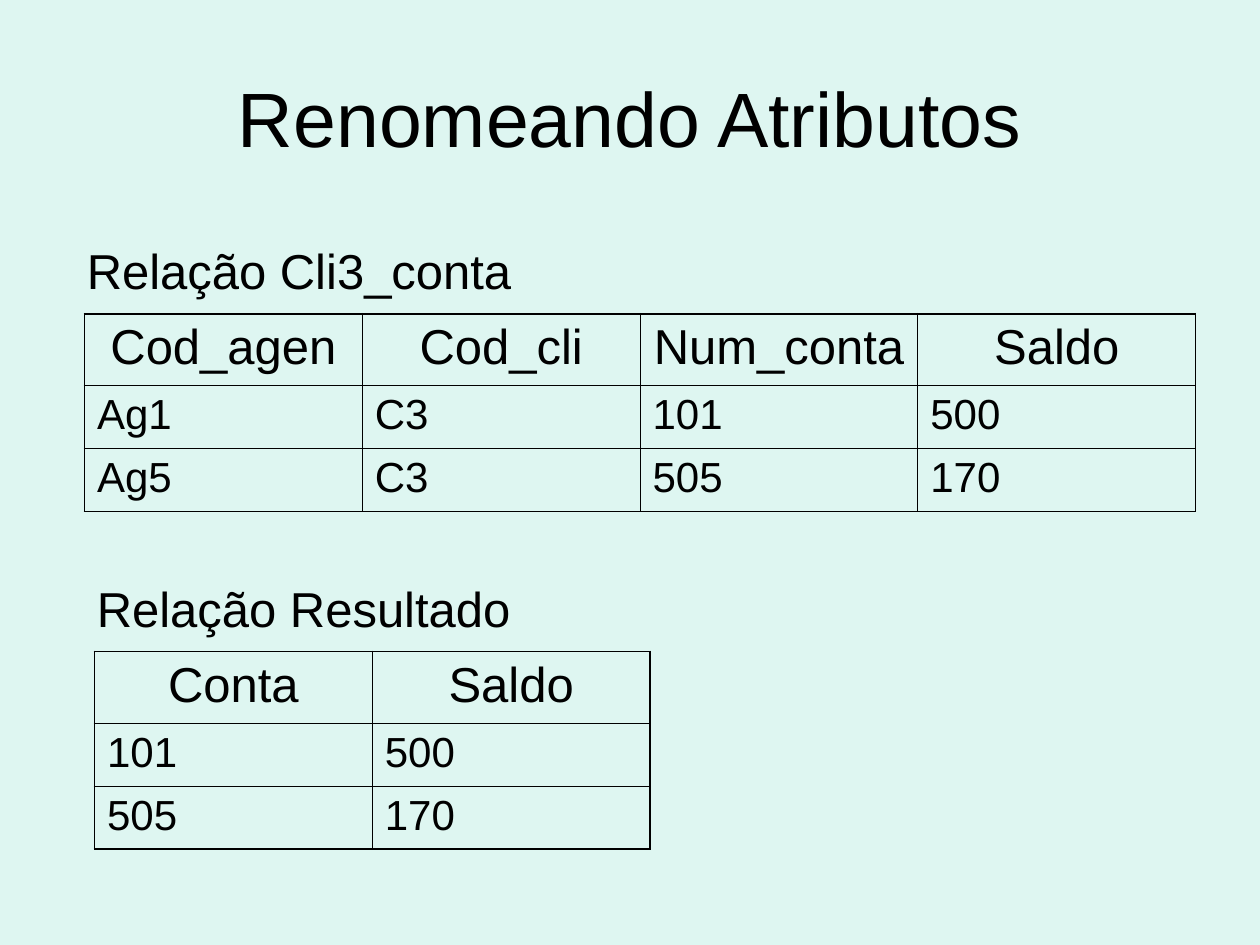
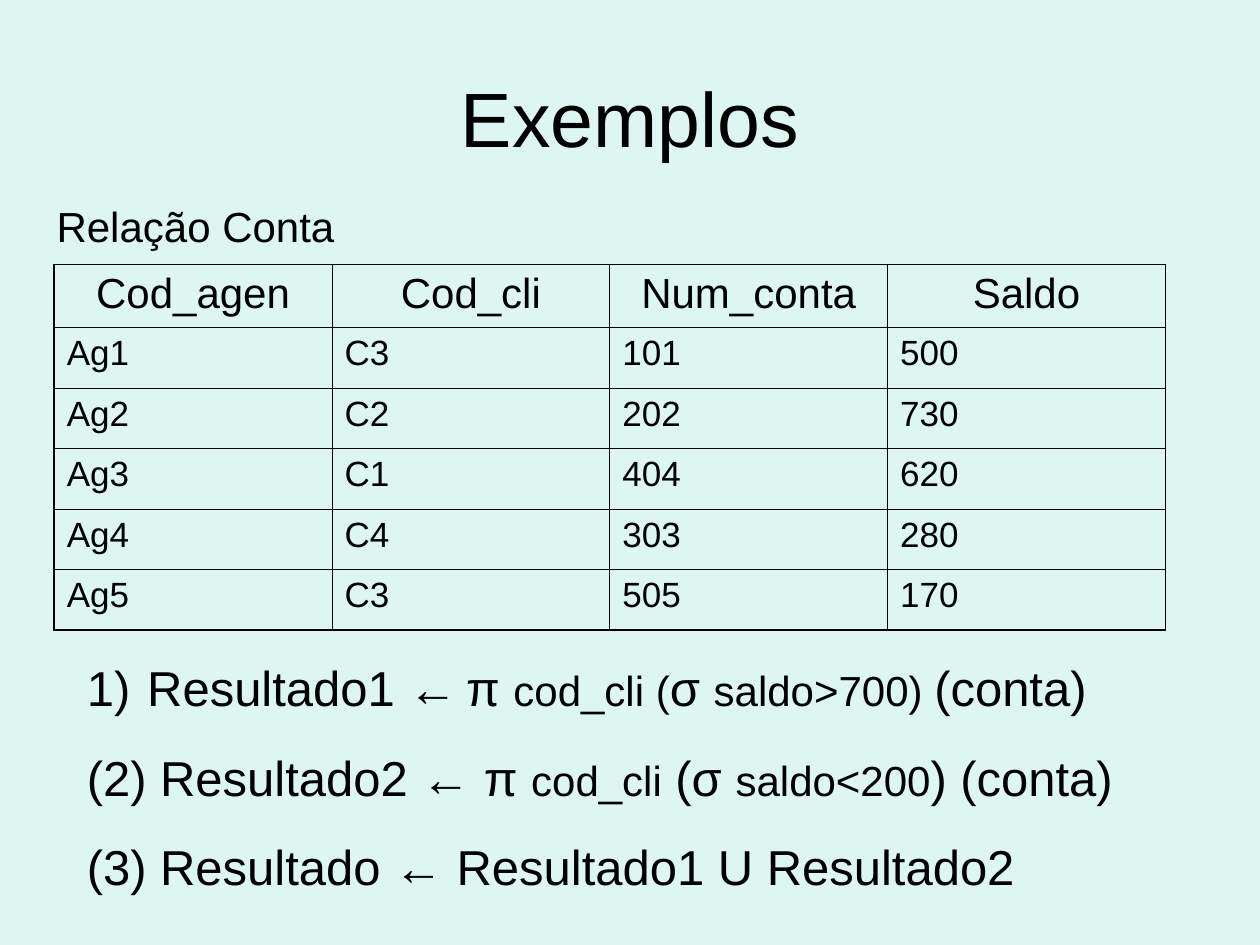
"""Build two slides on relational algebra: renaming attributes and examples."""
from lxml import etree
from pptx import Presentation
from pptx import util as u
from pptx.dml.color import RGBColor
from pptx.enum import text
from pptx.oxml import ns

MINT = RGBColor(0xDE, 0xF6, 0xF1)
BLACK = RGBColor(0, 0, 0)
FONT = "Arial"
WIDTH, HEIGHT = 10, 7.5
TITLE_AT = (0.05 * WIDTH, 0.04 * HEIGHT, 0.9 * WIDTH, HEIGHT / 6)
TITLE_SIZE = 44
COL_W = 8.82 / 4
ROW_H = {28: 0.57, 24: 0.5, 20: 0.48}
CAPTION_W, CAPTION_GAP, CAPTION_SHIFT = 3.78, 0.06, 0.08
OUTER, INNER = 1.08, 0.45
HANG = 0.48

ACCOUNT_HEAD = ("Cod_agen", "Cod_cli", "Num_conta", "Saldo")
SLIDES = [
    {
        "title": "Renomeando Atributos",
        "tables": [
            {"caption": "Relação Cli3_conta", "at": (0.67, 2.49), "sizes": (28, 24),
             "rows": [ACCOUNT_HEAD,
                      ("Ag1", "C3", "101", "500"),
                      ("Ag5", "C3", "505", "170")]},
            {"caption": "Relação Resultado", "at": (0.75, 5.17), "sizes": (28, 24),
             "rows": [("Conta", "Saldo"), ("101", "500"), ("505", "170")]},
        ],
    },
    {
        "title": "Exemplos",
        "tables": [
            {"caption": "Relação Conta", "at": (0.43, 2.1), "sizes": (24, 20),
             "rows": [ACCOUNT_HEAD,
                      ("Ag1", "C3", "101", "500"),
                      ("Ag2", "C2", "202", "730"),
                      ("Ag3", "C1", "404", "620"),
                      ("Ag4", "C4", "303", "280"),
                      ("Ag5", "C3", "505", "170")]},
        ],
        "queries": {
            "at": (0.59, 5.17, 8.58, 1.99),
            "lines": [
                (True, [("Resultado1 ←", 28), (" ", 18), ("π ", 28), ("cod_cli (", 24),
                        ("σ ", 28), ("saldo>700) ", 24), ("(conta)", 28)]),
                (False, [("(2) Resultado2 ← π ", 28), ("cod_cli", 24), (" (σ ", 28),
                         ("saldo<200", 24), (") (conta)", 28)]),
                (False, [("(3) Resultado ← Resultado1 U Resultado2", 28)]),
            ],
        },
    },
]


def add_runs(p, runs):
    for words, size in runs:
        r = p.add_run()
        r.text = words
        r.font.name, r.font.size = FONT, u.Pt(size)
        r.font.color.rgb = BLACK


def add_box(s, at):
    tf = s.shapes.add_textbox(*map(u.Inches, at)).text_frame
    tf.word_wrap = True
    return tf


def add_title(s, words):
    tf = add_box(s, TITLE_AT)
    tf.vertical_anchor = text.MSO_ANCHOR.MIDDLE
    p = tf.paragraphs[0]
    p.alignment = text.PP_ALIGN.CENTER
    add_runs(p, [(words, TITLE_SIZE)])


def set_borders(cell, widths):
    tc_pr = cell._tc.get_or_add_tcPr()
    for side, width in zip("LRTB", widths):
        ln = etree.SubElement(tc_pr, ns.qn(f"a:ln{side}"), w=str(u.Pt(width)))
        fill = etree.SubElement(ln, ns.qn("a:solidFill"))
        etree.SubElement(fill, ns.qn("a:srgbClr"), val=str(BLACK))


def add_relation(s, caption, at, sizes, rows):
    left, top = at
    head_size, body_size = sizes
    head_h, body_h = ROW_H[head_size], ROW_H[body_size]
    if body_size == 24:
        body_h = ROW_H[24]
    n_rows, n_cols = len(rows), len(rows[0])
    height = head_h + body_h * (n_rows - 1)
    frame = s.shapes.add_table(n_rows, n_cols, *map(u.Inches, (left, top, COL_W * n_cols, height)))
    table = frame.table
    table.first_row = table.horz_banding = False
    for col in table.columns:
        col.width = u.Inches(COL_W)
    for i, row in enumerate(rows):
        table.rows[i].height = u.Inches(body_h if i else head_h)
        for j, words in enumerate(row):
            cell = table.cell(i, j)
            edges = (j == 0, j == n_cols - 1, i == 0, i == n_rows - 1)
            set_borders(cell, [OUTER if edge else INNER for edge in edges])
            cell.fill.background()
            p = cell.text_frame.paragraphs[0]
            p.alignment = text.PP_ALIGN.LEFT if i else text.PP_ALIGN.CENTER
            add_runs(p, [(words, body_size if i else head_size)])
    tf = add_box(s, (left - CAPTION_SHIFT, top - head_h - CAPTION_GAP, CAPTION_W, head_h))
    add_runs(tf.paragraphs[0], [(caption, head_size)])


def add_queries(s, at, lines):
    tf = add_box(s, at)
    for i, (numbered, runs) in enumerate(lines):
        p = tf.add_paragraph() if i else tf.paragraphs[0]
        p_pr = p._p.get_or_add_pPr()
        p_pr.set("marL", str(u.Inches(HANG)))
        p_pr.set("indent", str(-u.Inches(HANG)))
        if numbered:
            etree.SubElement(p_pr, ns.qn("a:buFont"), typeface=FONT)
            etree.SubElement(p_pr, ns.qn("a:buAutoNum"), type="arabicParenR")
        else:
            etree.SubElement(p_pr, ns.qn("a:buNone"))
        if i:
            p.space_before = u.Pt(17.5)
        add_runs(p, runs)


def main():
    prs = Presentation()
    prs.slide_width, prs.slide_height = u.Inches(WIDTH), u.Inches(HEIGHT)
    for content in SLIDES:
        s = prs.slides.add_slide(prs.slide_layouts[6])
        s.background.fill.solid()
        s.background.fill.fore_color.rgb = MINT
        add_title(s, content["title"])
        for relation in content["tables"]:
            add_relation(s, **relation)
        if "queries" in content:
            add_queries(s, **content["queries"])
    prs.save("out.pptx")


if __name__ == "__main__":
    main()
